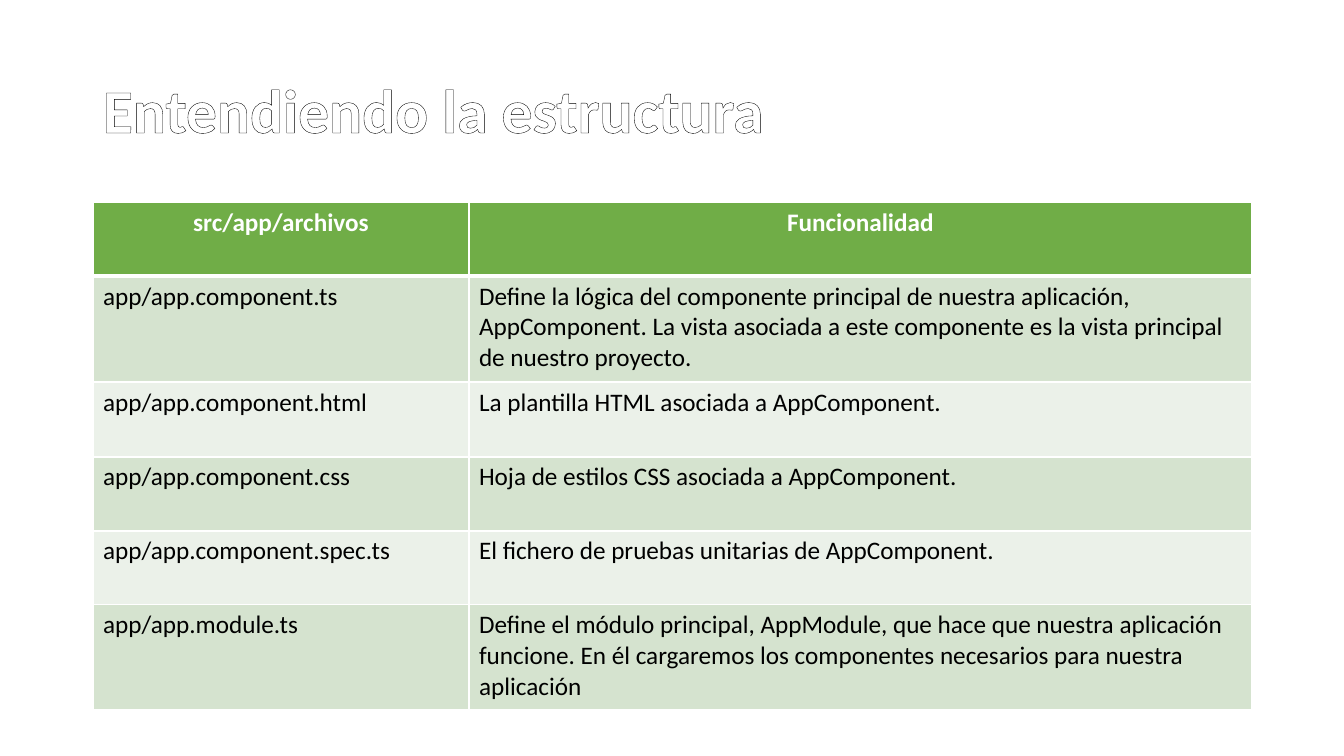
from lxml import etree
from pptx import Presentation
from pptx.dml.color import RGBColor
from pptx.enum.text import MSO_ANCHOR, PP_ALIGN
from pptx.oxml.ns import qn
from pptx.util import Pt

TITLE = "Entendiendo la estructura"
HEADER = ("src/app/archivos", "Funcionalidad")
FILES = [
    ("app/app.component.ts",
     "Define la lógica del componente principal de nuestra aplicación, AppComponent. "
     "La vista asociada a este componente es la vista principal de nuestro proyecto."),
    ("app/app.component.html", "La plantilla HTML asociada a AppComponent."),
    ("app/app.component.css", "Hoja de estilos CSS asociada a AppComponent."),
    ("app/app.component.spec.ts", "El fichero de pruebas unitarias de AppComponent."),
    ("app/app.module.ts",
     "Define el módulo principal, AppModule, que hace que nuestra aplicación funcione. "
     "En él cargaremos los componentes necesarios para nuestra aplicación"),
]

PAGE_WIDTH, PAGE_HEIGHT = 1344, 756
LEFT, TITLE_TOP, TITLE_HEIGHT, TABLE_TOP = 93, 40, 146, 202
COLUMN_WIDTHS = (376, 783)
ROW_HEIGHTS = (74, 106, 75, 74, 74, 105)

FONT = "Calibri"
WHITE = RGBColor(0xFF, 0xFF, 0xFF)
BLACK = RGBColor(0x00, 0x00, 0x00)
GREEN = RGBColor(0x70, 0xAD, 0x47)
BANDS = (RGBColor(0xD5, 0xE3, 0xCF), RGBColor(0xEB, 0xF1, 0xE9))
LEFT_ALIGN, CENTER = PP_ALIGN.LEFT, PP_ALIGN.CENTER
MIDDLE = MSO_ANCHOR.MIDDLE


def px(length):
    return round(length * 914400 / 100.8)


def make_line(tag, color, points):
    """Return a solid DrawingML line element."""
    line = etree.Element(qn(tag), w=str(Pt(points)))
    fill = etree.SubElement(line, qn("a:solidFill"))
    etree.SubElement(fill, qn("a:srgbClr"), val=str(color))
    return line


def write_text(frame, text, size=18, color=BLACK, bold=False, align=LEFT_ALIGN):
    """Fill the first paragraph and return its span."""
    para = frame.paragraphs[0]
    para.alignment = align
    span = para.add_run()
    span.text = text
    span.font.name = FONT
    span.font.size = Pt(size)
    span.font.bold = bold
    span.font.color.rgb = color
    return span


def set_borders(cell, top=1, bottom=1):
    properties = cell._tc.get_or_add_tcPr()
    widths = {"a:lnL": 1, "a:lnR": 1, "a:lnT": top, "a:lnB": bottom}
    for index, (tag, points) in enumerate(widths.items()):
        properties.insert(index, make_line(tag, WHITE, points))


def add_title(page):
    box = page.shapes.add_textbox(px(LEFT), px(TITLE_TOP), px(sum(COLUMN_WIDTHS)), px(TITLE_HEIGHT))
    frame = box.text_frame
    frame.word_wrap = True
    frame.vertical_anchor = MIDDLE
    span = write_text(frame, TITLE, size=44, color=WHITE, bold=True)
    frame.paragraphs[0].line_spacing = 0.9
    span.font._element.insert(0, make_line("a:ln", BLACK, 0.25))


def add_file_table(page):
    rows = [HEADER, *FILES]
    table = page.shapes.add_table(
        len(rows), len(HEADER), px(LEFT), px(TABLE_TOP),
        px(sum(COLUMN_WIDTHS)), px(sum(ROW_HEIGHTS))).table
    for column, width in zip(table.columns, COLUMN_WIDTHS):
        column.width = px(width)
    for row, height in zip(table.rows, ROW_HEIGHTS):
        row.height = px(height)
    for row_index, texts in enumerate(rows):
        is_header = row_index == 0
        for column_index, text in enumerate(texts):
            cell = table.cell(row_index, column_index)
            cell.fill.solid()
            cell.fill.fore_color.rgb = GREEN if is_header else BANDS[(row_index - 1) % 2]
            if is_header:
                write_text(cell.text_frame, text, color=WHITE, bold=True, align=CENTER)
            else:
                write_text(cell.text_frame, text)
            set_borders(cell, top=3 if row_index == 1 else 1, bottom=3 if is_header else 1)


def main():
    deck = Presentation()
    deck.slide_width, deck.slide_height = px(PAGE_WIDTH), px(PAGE_HEIGHT)
    page = deck.slides.add_slide(deck.slide_layouts[6])
    add_title(page)
    add_file_table(page)
    deck.save("out.pptx")


if __name__ == "__main__":
    main()
